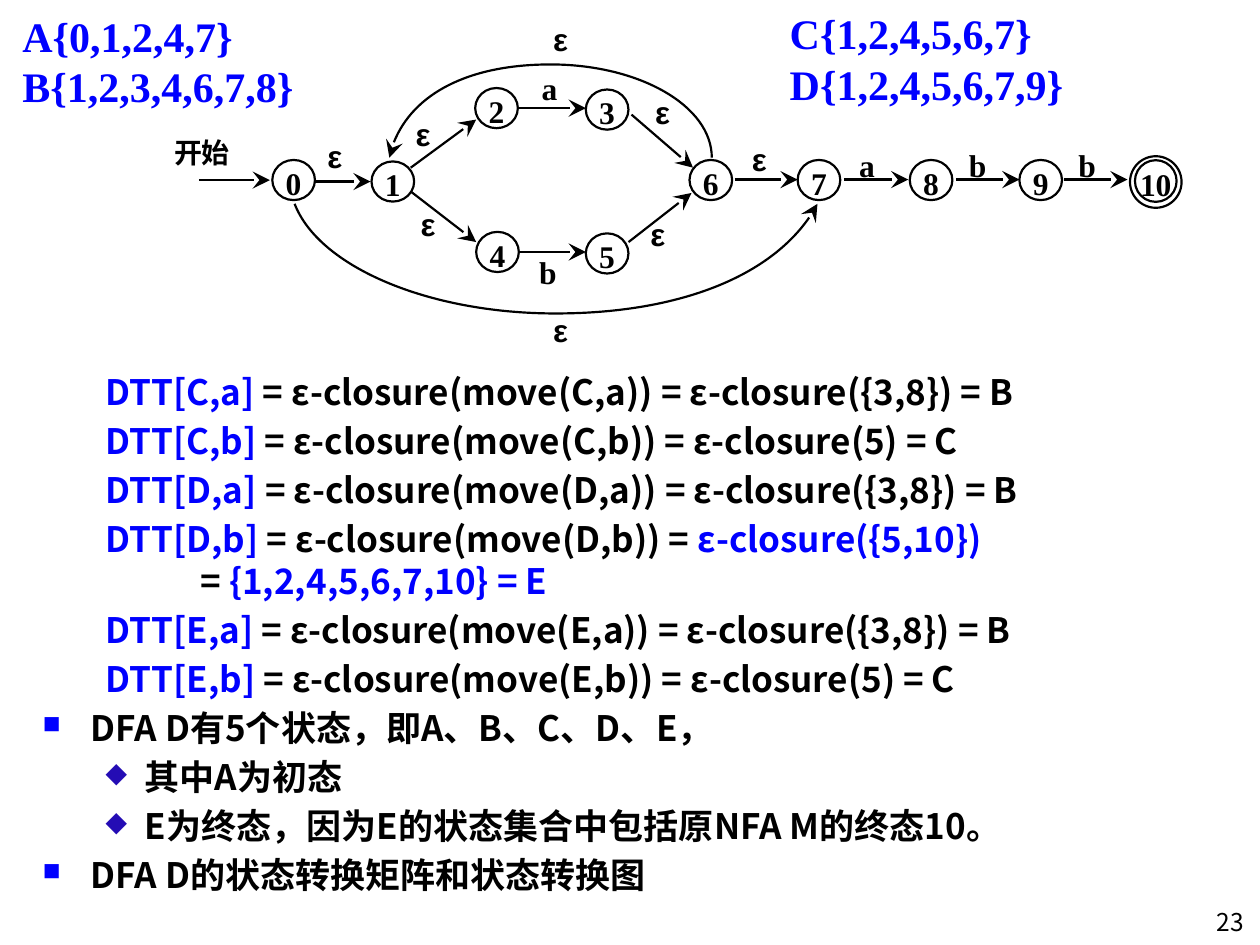
from lxml.etree import SubElement
from pptx import Presentation
from pptx.dml.color import RGBColor
from pptx.enum.shapes import MSO_CONNECTOR, MSO_SHAPE
from pptx.enum.text import MSO_ANCHOR, PP_ALIGN
from pptx.oxml.ns import qn
from pptx.util import Cm, Pt

COLORS = {"ink": "000000", "paper": "FFFFFF", "blue": "0000FF", "violet": "240CB4"}
SERIF, SANS, CJK = "Times New Roman", "Arial", "Noto Sans CJK SC"


def add_span(para, text, size, font, color="ink", bold=True):
    span = para.add_run()
    span.text = text
    span.font.size = Pt(size)
    span.font.bold = bold
    span.font.name = font
    span.font.color.rgb = RGBColor.from_string(COLORS[color])
    SubElement(span.font._element, qn("a:ea"), typeface=CJK)


def style_arrow(shape):
    shape.line.width = Pt(1.25)
    shape.line.color.rgb = RGBColor.from_string(COLORS["ink"])
    outline = shape.line._get_or_add_ln()
    SubElement(outline, qn("a:tailEnd"), type="stealth", w="lg", len="lg")
    SubElement(shape._element.spPr, qn("a:effectLst"))


deck = Presentation()
deck.slide_width, deck.slide_height = Cm(25.4), Cm(19.05)
page = deck.slides.add_slide(deck.slide_layouts[6])

arcs = [
    [(14.35, 3.18), (14.35, 2.13), (12.88, 1.3), (11.1, 1.3), (9.45, 1.3), (8.08, 2.01), (7.85, 3.18)],
    [(5.94, 4.11), (6.43, 5.38), (8.64, 6.32), (11.2, 6.32), (13.61, 6.32), (15.75, 5.51), (16.48, 4.11)],
]
for points in arcs:
    start, *controls = [(Cm(x), Cm(y)) for x, y in points]
    builder = page.shapes.build_freeform(*start)
    builder.add_line_segments(controls, close=False)
    arc = builder.convert_to_shape()
    arc.fill.background()
    style_arrow(arc)
    route = arc._element.find(".//" + qn("a:path"))
    segments = route.findall(qn("a:lnTo"))
    for first in range(0, len(segments), 3):
        curve = SubElement(route, qn("a:cubicBezTo"))
        for segment in segments[first:first + 3]:
            curve.append(segment[0])
            route.remove(segment)

arrows = [
    (4.01, 3.63, 5.44, 3.63), (6.35, 3.66, 7.47, 3.66),
    (8.28, 3.38, 9.6, 2.41), (8.28, 3.86, 9.6, 4.88),
    (10.44, 2.18, 11.81, 2.18), (10.44, 5.08, 11.81, 5.08),
    (12.73, 2.31, 13.97, 3.38), (12.67, 4.88, 13.94, 3.89),
    (14.81, 3.62, 16.08, 3.62), (17.02, 3.62, 18.31, 3.62),
    (19.28, 3.62, 20.55, 3.62), (21.44, 3.62, 22.73, 3.62),
]
for ends in arrows:
    style_arrow(page.shapes.add_connector(MSO_CONNECTOR.STRAIGHT, *map(Cm, ends)))

states = [
    ("0", 5.92, 3.63, 0.86, 0.81), ("1", 7.92, 3.66, 0.86, 0.81),
    ("2", 10.01, 2.18, 0.86, 0.81), ("3", 12.24, 2.21, 0.86, 0.81),
    ("4", 10.03, 5.08, 0.86, 0.81), ("5", 12.24, 5.11, 0.86, 0.81),
    ("6", 14.33, 3.63, 0.86, 0.81), ("7", 16.51, 3.63, 0.86, 0.81),
    ("8", 18.77, 3.63, 0.86, 0.81), ("9", 20.98, 3.63, 0.86, 0.81),
    ("", 23.3, 3.67, 1.04, 1.04), ("10", 23.3, 3.65, 0.84, 0.84),
]
for name, x, y, width, height in states:
    state = page.shapes.add_shape(
        MSO_SHAPE.OVAL, Cm(x - width / 2), Cm(y - height / 2), Cm(width), Cm(height))
    state.shadow.inherit = False
    state.fill.solid()
    state.fill.fore_color.rgb = RGBColor.from_string(COLORS["paper"])
    state.line.color.rgb = RGBColor.from_string(COLORS["ink"])
    state.line.width = Pt(1.25)
    frame = state.text_frame
    frame.margin_left = frame.margin_right = frame.margin_bottom = 0
    frame.margin_top = Cm(0.1)
    frame.vertical_anchor = MSO_ANCHOR.MIDDLE
    frame.word_wrap = False
    if name:
        frame.paragraphs[0].alignment = PP_ALIGN.CENTER
        add_span(frame.paragraphs[0], name, 18, SERIF)

labels = [
    ("开始", 16, SERIF, 1.14, [(3.51, 2.74)]),
    ("ε", 18, SANS, 0.28, [(6.6, 2.77), (8.38, 2.31), (8.48, 4.14), (13.11, 4.34),
                           (15.16, 2.82), (11.15, 0.41), (11.15, 6.27), (13.21, 1.88)]),
    ("a", 18, SERIF, 0.3, [(10.92, 1.4), (17.32, 2.95)]),
    ("b", 18, SERIF, 0.36, [(10.87, 5.11), (19.53, 2.95), (21.74, 2.95)]),
]
for text, size, font, width, places in labels:
    for left, top in places:
        box = page.shapes.add_textbox(Cm(left), Cm(top), Cm(width), Cm(0.76))
        frame = box.text_frame
        frame.margin_left = frame.margin_right = frame.margin_top = frame.margin_bottom = 0
        frame.word_wrap = False
        add_span(frame.paragraphs[0], text, size, font)

state_sets = [
    (0.2, 0.08, ["A{0,1,2,4,7}", "B{1,2,3,4,6,7,8}"]),
    (15.67, 0.03, ["C{1,2,4,5,6,7}", "D{1,2,4,5,6,7,9}"]),
]
for left, top, lines in state_sets:
    frame = page.shapes.add_textbox(Cm(left), Cm(top), Cm(6.05), Cm(2.31)).text_frame
    frame.word_wrap = False
    for index, line in enumerate(lines):
        para = frame.add_paragraph() if index else frame.paragraphs[0]
        add_span(para, line, 24, SERIF, "blue")

levels = {
    "rule": (2.06, -0.79, 4, None),
    "more": (3.18, 0, 0, None),
    "point": (0.97, -0.97, 4, ("■", "blue", 70)),
    "detail": (2.06, -0.79, 4, ("◆", "violet", 80)),
}
body = [
    ("rule", [("DTT[C,a]", "blue"), (" = ε-closure(move(C,a)) = ε-closure({3,8}) = B", "ink")]),
    ("rule", [("DTT[C,b]", "blue"), (" = ε-closure(move(C,b)) = ε-closure(5) = C", "ink")]),
    ("rule", [("DTT[D,a]", "blue"), (" = ε-closure(move(D,a)) = ε-closure({3,8}) = B", "ink")]),
    ("rule", [("DTT[D,b]", "blue"), (" = ε-closure(move(D,b)) = ", "ink"), ("ε-closure({5,10})", "blue")]),
    ("more", [("= ", "ink"), ("{1,2,4,5,6,7,10} = E", "blue")]),
    ("rule", [("DTT[E,a]", "blue"), (" = ε-closure(move(E,a)) = ε-closure({3,8}) = B", "ink")]),
    ("rule", [("DTT[E,b]", "blue"), (" = ε-closure(move(E,b)) = ε-closure(5) = C", "ink")]),
    ("point", [("DFA D有5个状态，即A、B、C、D、E，", "ink")]),
    ("detail", [("其中A为初态", "ink")]),
    ("detail", [("E为终态，因为E的状态集合中包括原NFA M的终态10。", "ink")]),
    ("point", [("DFA D的状态转换矩阵和状态转换图", "ink")]),
]
frame = page.shapes.add_textbox(Cm(0.61), Cm(7.34), Cm(24.13), Cm(11.71)).text_frame
frame.word_wrap = True
for index, (level, spans) in enumerate(body):
    para = frame.add_paragraph() if index else frame.paragraphs[0]
    margin, indent, before, bullet = levels[level]
    para.space_before = Pt(before)
    layout = para._p.get_or_add_pPr()
    layout.set("marL", str(Cm(margin)))
    layout.set("indent", str(Cm(indent) if bullet else 0))
    if bullet:
        mark, color, percent = bullet
        SubElement(SubElement(layout, qn("a:buClr")), qn("a:srgbClr"), val=COLORS[color])
        SubElement(layout, qn("a:buSzPct"), val=str(percent * 1000))
        SubElement(layout, qn("a:buChar"), char=mark)
    else:
        layout.set("marL", str(Cm(margin + indent)))
    for text, color in spans:
        add_span(para, text, 20, CJK, color)

frame = page.shapes.add_textbox(Cm(23.32), Cm(18.16), Cm(2.01), Cm(0.76)).text_frame
frame.word_wrap = True
frame.paragraphs[0].alignment = PP_ALIGN.RIGHT
add_span(frame.paragraphs[0], "23", 14, CJK, bold=False)

deck.save("out.pptx")
